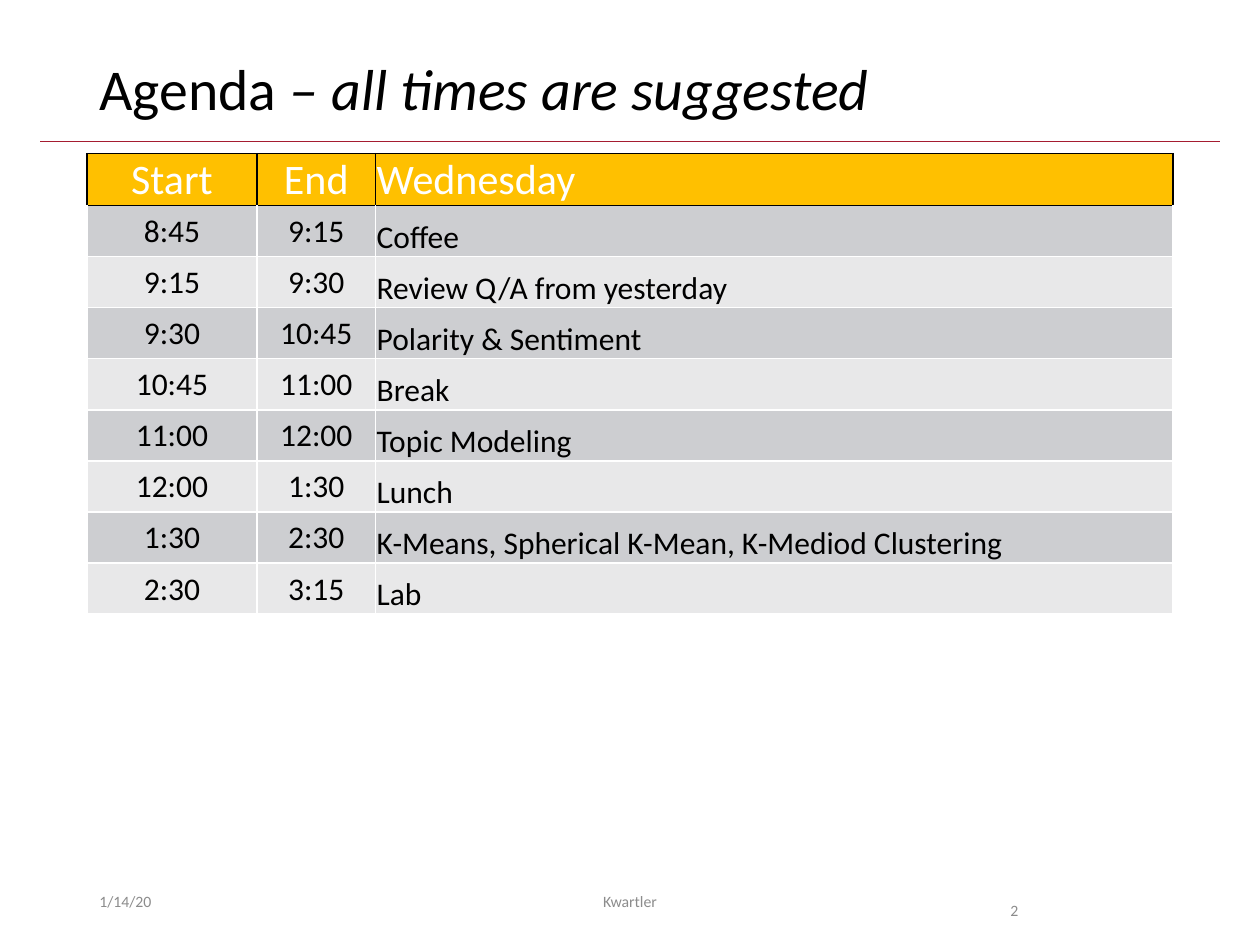
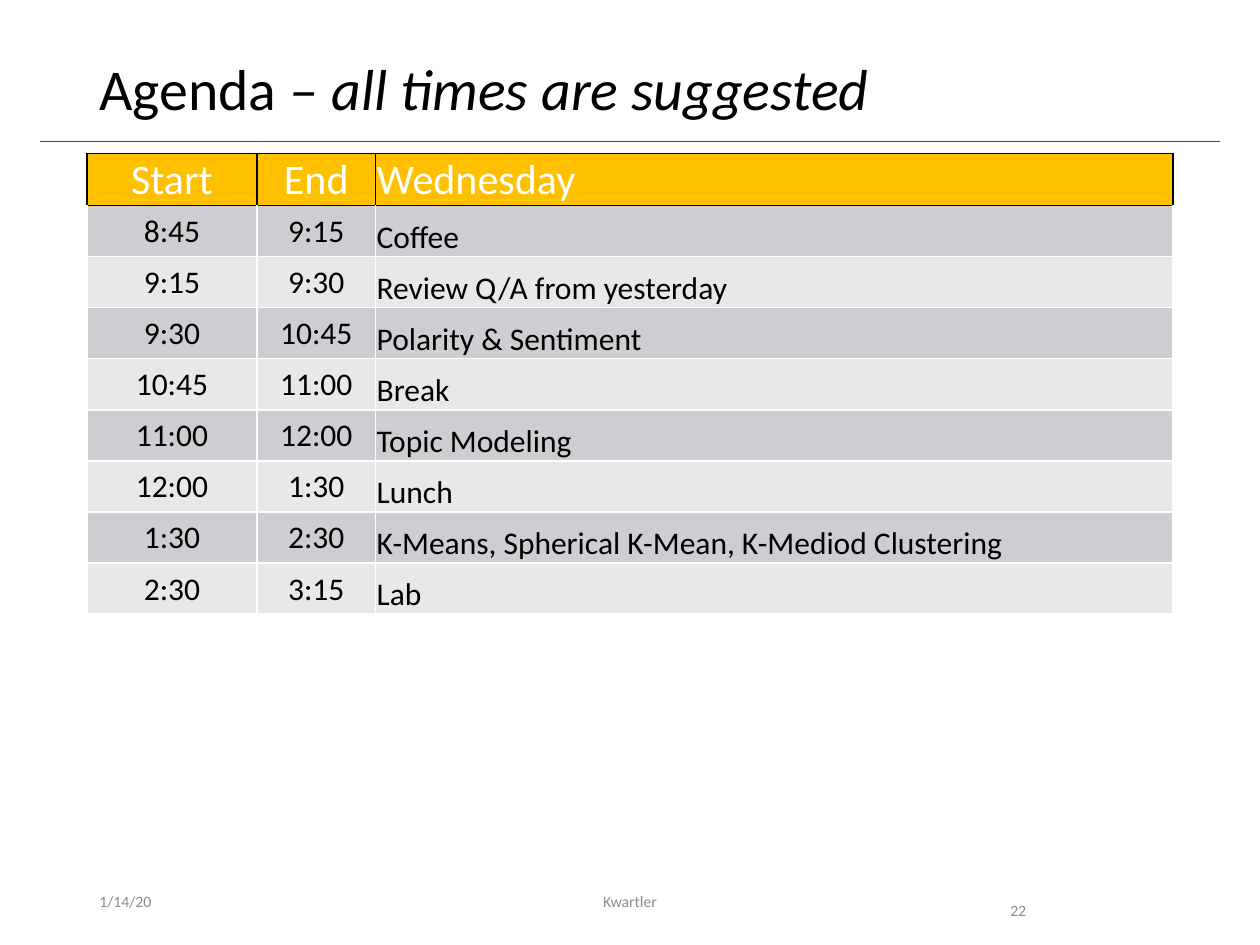
from pptx import Presentation
from pptx.dml.color import RGBColor
from pptx.enum.shapes import MSO_CONNECTOR
from pptx.enum.text import MSO_ANCHOR as Anchor, PP_ALIGN as Align
from pptx.oxml.ns import qn
from pptx.util import Inches, Pt
from lxml.etree import SubElement

BLACK = RGBColor(0x00, 0x00, 0x00)
WHITE = RGBColor(0xFF, 0xFF, 0xFF)
CRIMSON = RGBColor(0xA5, 0x1C, 0x30)
AMBER = RGBColor(0xFF, 0xC0, 0x00)
DARK_BAND = RGBColor(0xCD, 0xCE, 0xD1)
LIGHT_BAND = RGBColor(0xE8, 0xE8, 0xE9)
FOOTER_GREY = RGBColor(0x8C, 0x8C, 0x8C)
FONT = "Calibri"

MARGIN = 0.69
FOOTER_TOP = 6.95
FOOTER_HEIGHT = 0.4
TABLE_TOP = 1.22
TABLE_HEIGHT = 3.65
COLUMN_WIDTHS = (1.35, 0.94, 6.33)
SLIDE_NUMBERS = (2, 22)
AGENDA = (
    ("Start", "End", "Wednesday"),
    ("8:45", "9:15", "Coffee"),
    ("9:15", "9:30", "Review Q/A from yesterday"),
    ("9:30", "10:45", "Polarity & Sentiment"),
    ("10:45", "11:00", "Break"),
    ("11:00", "12:00", "Topic Modeling"),
    ("12:00", "1:30", "Lunch"),
    ("1:30", "2:30", "K-Means, Spherical K-Mean, K-Mediod Clustering"),
    ("2:30", "3:15", "Lab"),
)


def style_paragraph(paragraph, size, color, align=Align.LEFT):
    """Set the font and alignment of a whole paragraph."""
    paragraph.alignment = align
    paragraph.font.name = FONT
    paragraph.font.size = Pt(size)
    paragraph.font.color.rgb = color
    paragraph.font.bold = False


def add_text(slide, box, size, color, text="", align=Align.LEFT, anchor=Anchor.MIDDLE):
    """Add a one-paragraph text box and return its paragraph."""
    frame = slide.shapes.add_textbox(*map(Inches, box)).text_frame
    frame.word_wrap = True
    frame.vertical_anchor = anchor
    paragraph = frame.paragraphs[0]
    if text:
        paragraph.add_run().text = text
    style_paragraph(paragraph, size, color, align)
    return paragraph


def add_title(slide):
    """Add the title with its italic remark and the rule below it."""
    paragraph = add_text(slide, (MARGIN, 0.4, 8.62, 0.65), 33, BLACK, "Agenda ")
    paragraph.line_spacing = 0.9
    remark = paragraph.add_run()
    remark.text = "– all times are suggested"
    remark.font.italic = True

    rule = slide.shapes.add_connector(
        MSO_CONNECTOR.STRAIGHT, Inches(0.32), Inches(1.12), Inches(9.68), Inches(1.12))
    rule.line.color.rgb = CRIMSON
    rule.line.width = Pt(0.5)
    SubElement(rule.element.spPr, qn("a:effectLst"))


def set_borders(cell, color, top_color):
    """Draw one-point borders around a cell."""
    properties = cell._tc.get_or_add_tcPr()
    for side in ("L", "R", "T", "B"):
        line = SubElement(properties, qn(f"a:ln{side}"), w=str(Pt(1)))
        fill = SubElement(line, qn("a:solidFill"))
        SubElement(fill, qn("a:srgbClr"), val=str(top_color if side == "T" else color))


def fill_cell(cell, text, row, column):
    """Write one agenda cell with its band colour, borders and alignment."""
    is_header = row == 0
    is_topic = column == 2
    set_borders(cell, BLACK if is_header else WHITE, BLACK if row < 2 else WHITE)
    cell.fill.solid()
    cell.fill.fore_color.rgb = AMBER if is_header else DARK_BAND if row % 2 else LIGHT_BAND
    cell.margin_left = cell.margin_right = cell.margin_top = Inches(0.01)
    cell.margin_bottom = 0
    cell.vertical_anchor = Anchor.BOTTOM if is_topic and not is_header else Anchor.MIDDLE
    paragraph = cell.text_frame.paragraphs[0]
    paragraph.add_run().text = text
    style_paragraph(paragraph, 24 if is_header else 18, WHITE if is_header else BLACK,
                    Align.LEFT if is_topic else Align.CENTER)


def add_agenda_table(slide):
    """Add the agenda as a table with evenly high rows."""
    table = slide.shapes.add_table(
        len(AGENDA), len(COLUMN_WIDTHS), Inches(MARGIN), Inches(TABLE_TOP),
        Inches(sum(COLUMN_WIDTHS)), Inches(TABLE_HEIGHT)).table
    table.first_row = table.horz_banding = False
    for column, width in zip(table.columns, COLUMN_WIDTHS):
        column.width = Inches(width)
    for row, entries in enumerate(AGENDA):
        for column, text in enumerate(entries):
            fill_cell(table.cell(row, column), text, row, column)


def add_footer(slide, number):
    """Add the date, the author and the slide number."""
    def add_part(left, width, text, **options):
        box = (left, FOOTER_TOP, width, FOOTER_HEIGHT)
        return add_text(slide, box, 9, FOOTER_GREY, text, **options)

    add_part(MARGIN, 2.25, "1/14/20")
    add_part(3.31, 3.38, "Kwartler", align=Align.CENTER)
    add_part(7.92, 0.94, str(number), anchor=Anchor.TOP).line_spacing = 2.0


def main():
    """Build the agenda slides and save them."""
    presentation = Presentation()
    presentation.slide_width = Inches(10)
    presentation.slide_height = Inches(7.5)
    for number in SLIDE_NUMBERS:
        slide = presentation.slides.add_slide(presentation.slide_layouts[6])
        add_title(slide)
        add_agenda_table(slide)
        add_footer(slide, number)
    presentation.save("out.pptx")


if __name__ == "__main__":
    main()
